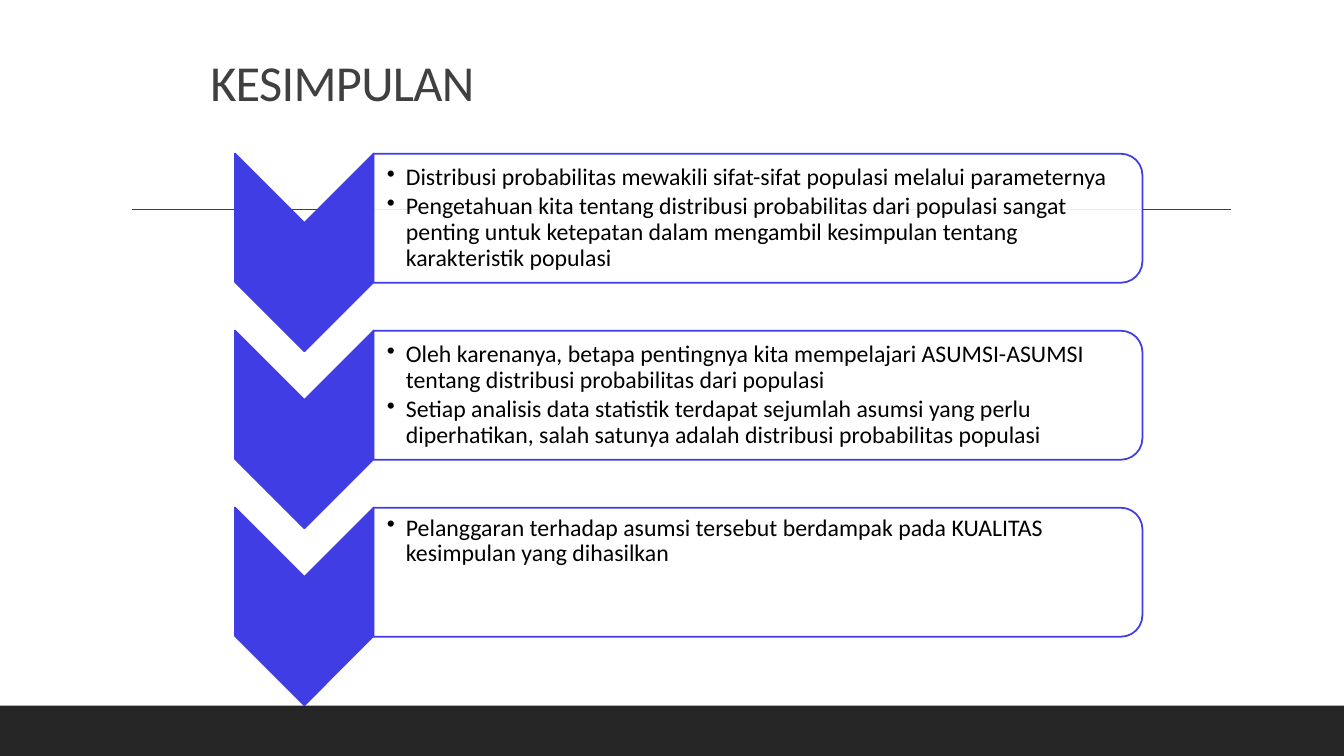
from pptx import Presentation
from pptx.dml.color import RGBColor
from pptx.enum.shapes import MSO_CONNECTOR, MSO_SHAPE
from pptx.enum.text import MSO_ANCHOR
from pptx.oxml.ns import qn
from pptx.util import Cm, Pt
from lxml import etree

RECT = MSO_SHAPE.RECTANGLE
CHEVRON = MSO_SHAPE.CHEVRON
PANEL = MSO_SHAPE.ROUND_2_SAME_RECTANGLE
STRAIGHT = MSO_CONNECTOR.STRAIGHT
TOP, MIDDLE, BOTTOM = MSO_ANCHOR.TOP, MSO_ANCHOR.MIDDLE, MSO_ANCHOR.BOTTOM

BLUE, DARK, GREY = "3F3DE3", "262626", "404040"
STEP = 4.46

POINTS = [
    (MIDDLE, [
        "Distribusi probabilitas mewakili sifat-sifat populasi melalui parameternya",
        "Pengetahuan kita tentang distribusi probabilitas dari populasi sangat penting "
        "untuk ketepatan dalam mengambil kesimpulan tentang karakteristik populasi",
    ]),
    (MIDDLE, [
        "Oleh karenanya, betapa pentingnya kita mempelajari ASUMSI-ASUMSI "
        "tentang distribusi probabilitas dari populasi",
        "Setiap analisis data statistik terdapat sejumlah asumsi yang perlu "
        "diperhatikan, salah satunya adalah distribusi probabilitas populasi",
    ]),
    (TOP, [
        "Pelanggaran terhadap asumsi tersebut berdampak pada KUALITAS "
        "kesimpulan yang dihasilkan",
    ]),
]


def color(code):
    return RGBColor.from_string(code)


def apply(target, values):
    for name, value in values.items():
        setattr(target, name, value)


class Deck:
    """Holds the text style and the current slide."""

    def __init__(self, slide, font):
        self.slide = slide
        self.font = font

    def shape(self, kind, left, top, width, height, fill, line=None, turn=0, alpha=None):
        item = self.slide.shapes.add_shape(kind, Cm(left), Cm(top), Cm(width), Cm(height))
        item.shadow.inherit = False
        item.rotation = turn
        item.fill.solid()
        item.fill.fore_color.rgb = color(fill)
        if alpha:
            tint = item.fill._xPr.find(".//" + qn("a:srgbClr"))
            etree.SubElement(tint, qn("a:alpha")).set("val", str(alpha * 1000))
        if line:
            item.line.color.rgb = color(line)
            item.line.width = Pt(1.25)
        else:
            item.line.fill.background()
        return item

    def turned(self, kind, mid_x, mid_y, width, height, fill, alpha=None):
        """Add a shape turned by 90 degrees around its middle."""
        return self.shape(kind, mid_x - width / 2, mid_y - height / 2, width, height,
                          fill, BLUE, 90, alpha)

    def rule(self, left, right, y):
        item = self.slide.shapes.add_connector(STRAIGHT, Cm(left), Cm(y), Cm(right), Cm(y))
        item.line.color.rgb = color(GREY)
        item.line.width = Pt(1)
        etree.SubElement(item._element.spPr, qn("a:effectLst"))

    def text(self, left, top, width, height, lines, size, ink, frame, bullet=False):
        box = self.slide.shapes.add_textbox(Cm(left), Cm(top), Cm(width), Cm(height))
        body = box.text_frame
        apply(body, {"word_wrap": True, **frame})
        for i, line in enumerate(lines):
            para = body.add_paragraph() if i else body.paragraphs[0]
            if bullet:
                props = para._p.get_or_add_pPr()
                props.set("marL", str(Cm(0.48)))
                props.set("indent", str(-Cm(0.48)))
                etree.SubElement(props, qn("a:buChar")).set("char", "•")
                para.space_after = Pt(2.5)
            para.line_spacing = 0.9
            run = para.add_run()
            run.text = line
            apply(run.font, {"name": self.font, "size": Pt(size)})
            run.font.color.rgb = color(ink)
        return box


def main():
    prs = Presentation()
    prs.slide_width, prs.slide_height = Cm(33.87), Cm(19.05)
    deck = Deck(prs.slides.add_slide(prs.slide_layouts[6]), "Calibri")

    deck.shape(RECT, 0, 17.78, 33.87, 1.27, DARK)
    deck.rule(3.33, 31.01, 5.28)
    title = deck.text(5.05, 0, 22.86, 2.97, ["KESIMPULAN"], 36, GREY,
                      {"vertical_anchor": BOTTOM})
    title.text_frame.paragraphs[0].runs[0]._r.get_or_add_rPr().set("spc", "-50")

    for i, (anchor, lines) in enumerate(POINTS):
        drop = i * STEP
        deck.turned(CHEVRON, 7.67, 6.36 + drop, 4.98, 3.5, BLUE)
        deck.turned(PANEL, 19.1, 5.5 + drop, 3.25, 19.38, "FFFFFF", 90)
        frame = {"vertical_anchor": anchor, "margin_left": Cm(0.33),
                 "margin_right": Cm(0.03), "margin_top": Cm(0.03),
                 "margin_bottom": Cm(0.03)}
        deck.text(9.42, 4.04 + drop, 19.2, 2.92, lines, 17, "000000", frame, True)

    prs.save("out.pptx")


if __name__ == "__main__":
    main()
